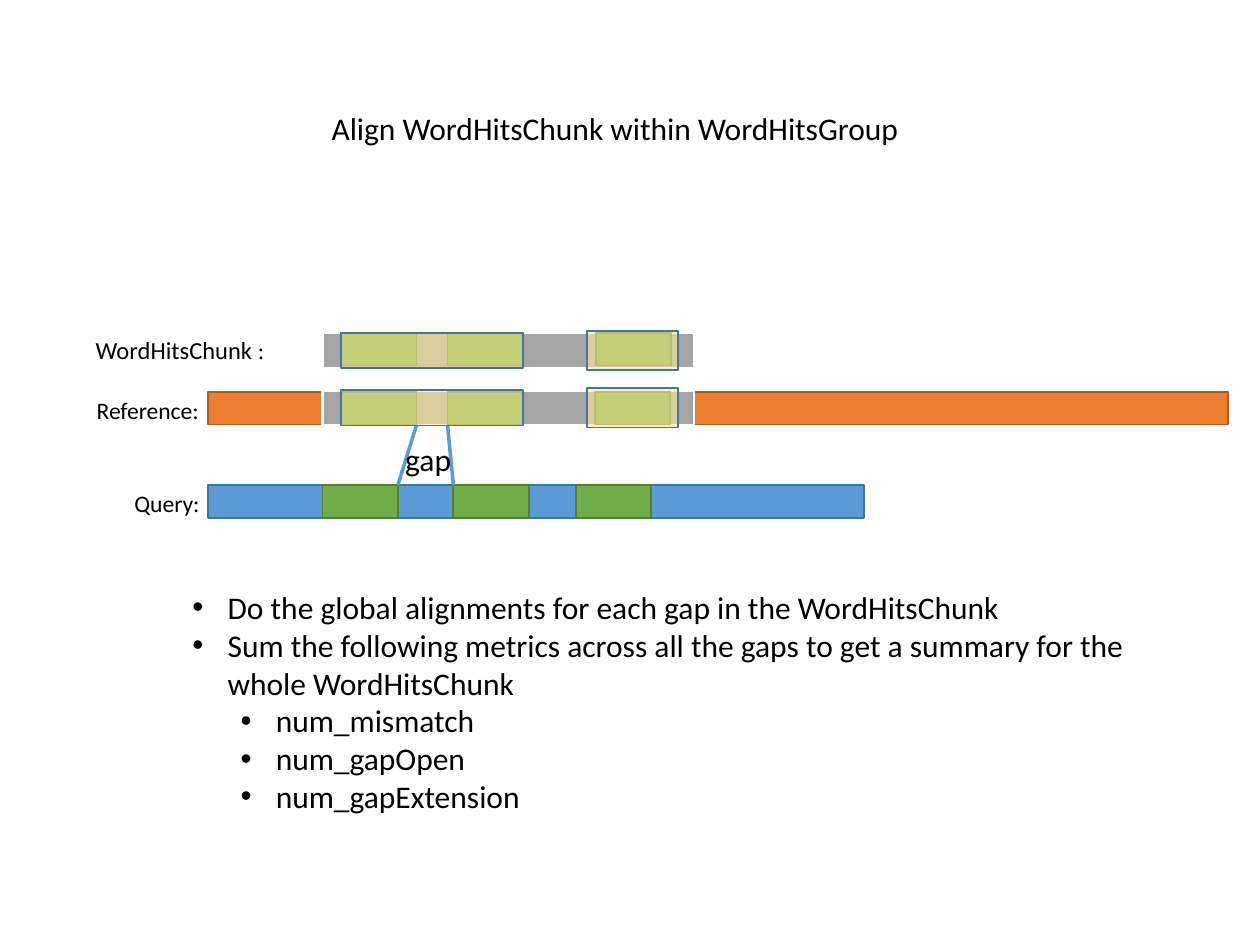
"""Build the slide on aligning a WordHitsChunk within a WordHitsGroup."""
from dataclasses import dataclass

from lxml.etree import SubElement
from pptx import Presentation
from pptx.dml.color import RGBColor
from pptx.enum.shapes import MSO_CONNECTOR as CONN, MSO_SHAPE as SHAPE
from pptx.enum.text import MSO_ANCHOR as ANCHOR, MSO_AUTO_SIZE as FIT, PP_ALIGN as ALIGN
from pptx.oxml.ns import qn
from pptx.util import Cm, Pt


@dataclass(frozen=True)
class Theme:
    font: str = "Calibri"
    body: float = 18
    label: float = 13.5
    label_large: float = 14
    text: str = "000000"
    chunk: tuple = ("A5A5A5", "FFFFFF", 1.5)
    reference: tuple = ("ED7D31", "AF5C24", 1)
    query: tuple = ("5B9BD5", "43739E", 1)
    hit: tuple = ("70AD47", "538035", 1)
    cluster: tuple = ("FFE699", "43739E", 1)
    cluster_alpha: int = 60
    guide: tuple = ("5B9BD5", 2)


T = Theme()
BAR_H, CHUNK_H, HIT_W = 0.66, 0.71, 1.52
CHUNK_ROW, REF_ROW, QUERY_ROW = 6.71, 7.9, 9.78
CHUNK_X, TRACK_X = 6.5, 4.19
HITS = {CHUNK_ROW: (6.88, 9.02, 12.01), REF_ROW: (6.88, 9.02, 11.99), QUERY_ROW: (6.5, 9.14, 11.61)}
BULLETS = [
    (0, "Do the global alignments for each gap in the WordHitsChunk"),
    (0, "Sum the following metrics across all the gaps to get a summary for the whole WordHitsChunk"),
    (1, "num_mismatch"),
    (1, "num_gapOpen"),
    (1, "num_gapExtension"),
]


def add_bar(s, x, y, w, h, style, alpha=None):
    fill, line, width = style
    sp = s.shapes.add_shape(SHAPE.RECTANGLE, Cm(x), Cm(y), Cm(w), Cm(h))
    sp.shadow.inherit = False
    sp.fill.solid()
    sp.fill.fore_color.rgb = RGBColor.from_string(fill)
    sp.line.color.rgb = RGBColor.from_string(line)
    sp.line.width = Pt(width)
    if alpha is not None:
        color = sp.fill._xPr.find(".//" + qn("a:srgbClr"))
        SubElement(color, qn("a:alpha")).set("val", str(alpha * 1000))


def add_run(p, text, size):
    r = p.add_run()
    r.text = text
    r.font.name = T.font
    r.font.size = Pt(size)
    r.font.color.rgb = RGBColor.from_string(T.text)


def place(sp, x, y, w, h):
    sp.left, sp.top, sp.width, sp.height = Cm(x), Cm(y), Cm(w), Cm(h)


def format_frame(tf, wrap=False):
    tf.word_wrap = wrap
    tf.auto_size = FIT.SHAPE_TO_FIT_TEXT
    tf.vertical_anchor = ANCHOR.TOP


def set_title(s, text):
    sp = s.shapes.title
    place(sp, 6.43, 2.08, 11.99, 1.02)
    format_frame(sp.text_frame)
    p = sp.text_frame.paragraphs[0]
    p.alignment = ALIGN.LEFT
    add_run(p, text, T.body)


def add_label(s, x, y, w, h, *runs):
    tf = s.shapes.add_textbox(Cm(x), Cm(y), Cm(w), Cm(h)).text_frame
    format_frame(tf)
    for text, size in runs:
        add_run(tf.paragraphs[0], text, size)


def add_bullets(s, x, y, w, h, items):
    tf = s.shapes.add_textbox(Cm(x), Cm(y), Cm(w), Cm(h)).text_frame
    format_frame(tf, wrap=True)
    for i, (level, text) in enumerate(items):
        p = tf.paragraphs[0] if i == 0 else tf.add_paragraph()
        p.level = level
        pPr = p._p.get_or_add_pPr()
        pPr.set("marL", str(Cm((0.71, 1.68)[level])))
        pPr.set("indent", str(-Cm(0.71)))
        SubElement(pPr, qn("a:buFont")).set("typeface", "Arial")
        SubElement(pPr, qn("a:buChar")).set("char", "•")
        add_run(p, text, T.body)


def add_guide(s, x1, x2):
    color, width = T.guide
    line = s.shapes.add_connector(CONN.STRAIGHT, Cm(x1), Cm(REF_ROW + BAR_H), Cm(x2), Cm(QUERY_ROW))
    line.line.color.rgb = RGBColor.from_string(color)
    line.line.width = Pt(width)
    SubElement(line._element.spPr, qn("a:effectLst"))


def main():
    prs = Presentation()
    prs.slide_width, prs.slide_height = Cm(25.4), Cm(19.05)
    s = prs.slides.add_slide(prs.slide_layouts[5])
    set_title(s, "Align WordHitsChunk within WordHitsGroup")

    add_bar(s, TRACK_X, REF_ROW, 20.57, BAR_H, T.reference)
    add_bar(s, TRACK_X, QUERY_ROW, 13.23, BAR_H, T.query)
    for y in (CHUNK_ROW, REF_ROW - 0.03):
        add_bar(s, CHUNK_X, y, 7.49, CHUNK_H, T.chunk)
    for y, starts in HITS.items():
        for x in starts:
            add_bar(s, x, y, HIT_W, BAR_H, T.hit)

    add_label(s, 1.68, 6.63, 3.94, 0.86, ("WordHitsChunk ", T.label_large), (":", T.label))
    add_label(s, 1.7, 7.85, 2.62, 0.84, ("Reference:", T.label))
    add_label(s, 2.46, 9.73, 1.85, 0.84, ("Query:", T.label))

    first, second = HITS[REF_ROW][:2]
    query_first, query_second = HITS[QUERY_ROW][:2]
    add_guide(s, first + HIT_W, query_first + HIT_W)
    add_guide(s, second, query_second)
    add_label(s, 7.92, 8.74, 1.45, 1.02, ("gap", T.body))

    for y in (CHUNK_ROW, REF_ROW - 0.03):
        add_bar(s, first, y, 3.66, CHUNK_H, T.cluster, T.cluster_alpha)
        add_bar(s, 11.84, y - 0.04, 1.83, 0.79, T.cluster, T.cluster_alpha)
    add_bullets(s, 3.63, 11.73, 19.53, 4.93, BULLETS)
    prs.save("out.pptx")


if __name__ == "__main__":
    main()
